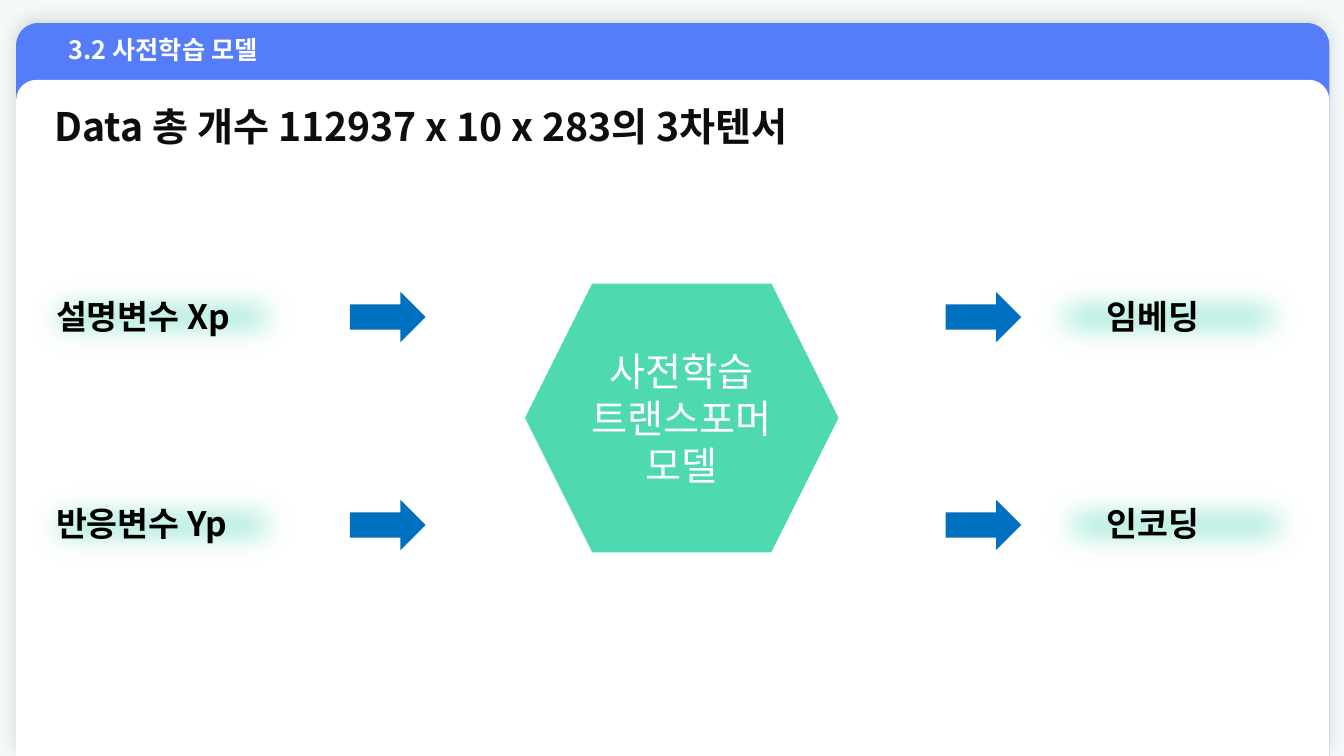
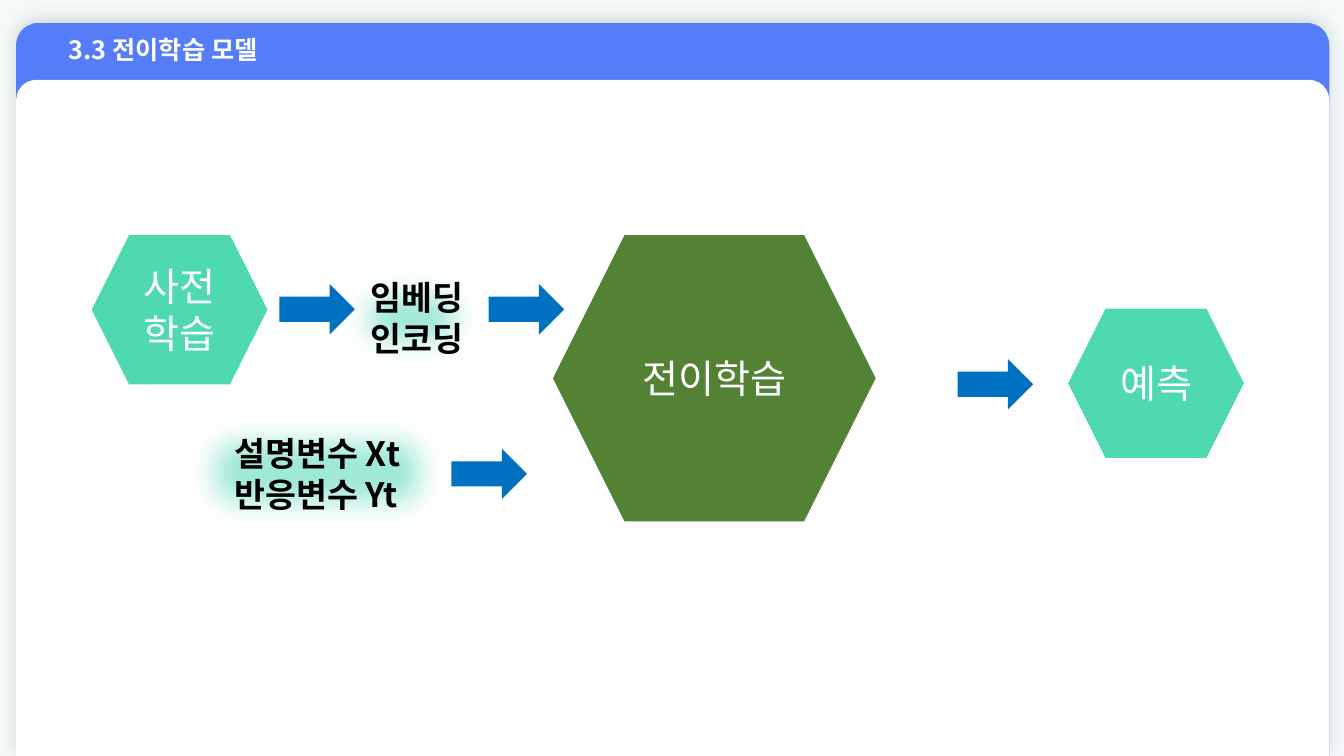
from dataclasses import dataclass

from lxml.etree import SubElement
from pptx import Presentation
from pptx.dml.color import RGBColor
from pptx.enum.shapes import MSO_SHAPE as Preset
from pptx.enum.text import MSO_ANCHOR as Anchor, MSO_AUTO_SIZE as AutoSize, PP_ALIGN as Align
from pptx.oxml.ns import qn
from pptx.util import Pt


@dataclass(frozen=True)
class Theme:
    font: str = "Noto Sans CJK KR"
    backdrop: str = "F4F9FA"
    band: str = "557CF9"
    white: str = "FFFFFF"
    ink: str = "000000"
    headline: str = "0D0D0D"
    mint: str = "4ED9B1"
    glow: str = "9FE9D7"
    green: str = "548235"
    arrow: str = "0070C0"
    title_size: int = 18
    label_size: int = 24
    model_size: int = 28


THEME = Theme()
TITLE_ONLY = 5


def rgb(color):
    return RGBColor.from_string(color)


def write_text(frame, text, *, size, color, bold=False, align=Align.LEFT,
               anchor=Anchor.TOP, inset=None):
    frame.word_wrap = True
    frame.auto_size = AutoSize.NONE
    frame.vertical_anchor = anchor
    if inset is not None:
        frame.margin_left = frame.margin_right = Pt(inset)
        frame.margin_top = frame.margin_bottom = Pt(inset)
    frame.text = text
    for paragraph in frame.paragraphs:
        paragraph.alignment = align
        for run in paragraph.runs:
            run.font.size = Pt(size)
            run.font.bold = bold
            run.font.color.rgb = rgb(color)
            run.font.name = THEME.font
            SubElement(run.font._element, qn("a:ea"), typeface=THEME.font)


class Deck:
    def __init__(self, theme):
        self.theme = theme
        self.prs = Presentation()
        self.prs.slide_width, self.prs.slide_height = Pt(960), Pt(540)
        backdrop = self.prs.slide_master.background.fill
        backdrop.solid()
        backdrop.fore_color.rgb = rgb(theme.backdrop)
        self.slide = None

    def shape(self, preset, box, color):
        shape = self.slide.shapes.add_shape(preset, *map(Pt, box))
        shape.shadow.inherit = False
        shape.fill.solid()
        shape.fill.fore_color.rgb = rgb(color)
        shape.line.fill.background()
        return shape

    def effect(self, shape, tag, **settings):
        effects = shape._element.spPr.find(qn("a:effectLst"))
        return SubElement(effects, qn(tag), **settings)

    def panel(self, top, color, rounding):
        panel = self.shape(Preset.ROUND_2_SAME_RECTANGLE,
                           (11.5, top, 938, 540 - top), color)
        panel.adjustments[0] = rounding
        return panel

    def start_slide(self, title):
        self.slide = self.prs.slides.add_slide(self.prs.slide_layouts[TITLE_ONLY])
        band = self.panel(16.5, self.theme.band, 0.03)
        shadow = self.effect(band, "a:outerShdw", blurRad=str(Pt(12)),
                             dist=str(Pt(3)), dir="16200000", rotWithShape="0")
        tint = SubElement(shadow, qn("a:srgbClr"), val=self.theme.ink)
        SubElement(tint, qn("a:alpha"), val="12000")
        self.panel(57, self.theme.white, 0.03)

        heading = self.slide.shapes.title
        heading.left, heading.top = Pt(42), Pt(21)
        heading.width, heading.height = Pt(481), Pt(29)
        write_text(heading.text_frame, title, size=self.theme.title_size,
                   color=self.theme.white, bold=True)
        self.slide.shapes._spTree.append(heading._element)

    def text(self, text, box, **style):
        holder = self.slide.shapes.add_textbox(*map(Pt, box))
        write_text(holder.text_frame, text, **style)

    def headline(self, text):
        self.text(text, (28, 62, 647, 55.5), size=self.theme.model_size,
                  color=self.theme.headline, bold=True,
                  anchor=Anchor.MIDDLE, inset=10.8)

    def label(self, text, left, top, width=155.5, height=36):
        self.text(text, (left, top, width, height), size=self.theme.label_size,
                  color=self.theme.ink, bold=True)

    def glow(self, left, top, width=210, height=76.5):
        glow = self.shape(Preset.RECTANGLE, (left, top, width, height), self.theme.glow)
        self.effect(glow, "a:softEdge", rad=str(Pt(25)))

    def arrow(self, left, top):
        self.shape(Preset.RIGHT_ARROW, (left, top, 54, 36), self.theme.arrow)

    def model(self, text, left, top, width=125.5, height=106.5, color=THEME.mint):
        hexagon = self.shape(Preset.HEXAGON, (left, top, width, height), color)
        write_text(hexagon.text_frame, text, size=self.theme.model_size,
                   color=self.theme.white, align=Align.CENTER, anchor=Anchor.MIDDLE)


def build_pretraining(deck):
    deck.start_slide("3.2 사전학습 모델")
    deck.headline("Data 총 개수 112937 x 10 x 283의 3차텐서")
    rows = (
        (207.5, "설명변수 Xp", "임베딩", 729.5),
        (356, "반응변수 Yp", "인코딩", 734.5),
    )
    for top, source, result, result_glow in rows:
        for glow_left in (11, result_glow):
            deck.glow(glow_left, top - 19)
        deck.label(source, 33, top)
        deck.label(result, 783.5, top)
        for arrow_left in (250, 675.5):
            deck.arrow(arrow_left, top + 1)
    deck.model("사전학습\n트랜스포머 모델", 375, 202.5, 224, 192)


def build_transfer(deck):
    deck.start_slide("3.3 전이학습 모델")
    deck.glow(121.5, 285, height=105)
    deck.glow(231, 180, 126, 95)
    deck.model("전이학습", 395, 168, 230.5, 204.5, THEME.green)
    deck.model("사전학습", 65.5, 168)
    deck.model("예측", 763, 220.5)
    deck.label("임베딩\n인코딩", 257.5, 194.5, 101.5, 65.5)
    deck.label("설명변수 Xt\n반응변수 Yt", 160.5, 306, height=65.5)
    for left, top in ((199.5, 203), (349, 203), (322.5, 320.5), (684, 256.5)):
        deck.arrow(left, top)


def main():
    deck = Deck(THEME)
    build_pretraining(deck)
    build_transfer(deck)
    deck.prs.save("out.pptx")


if __name__ == "__main__":
    main()
